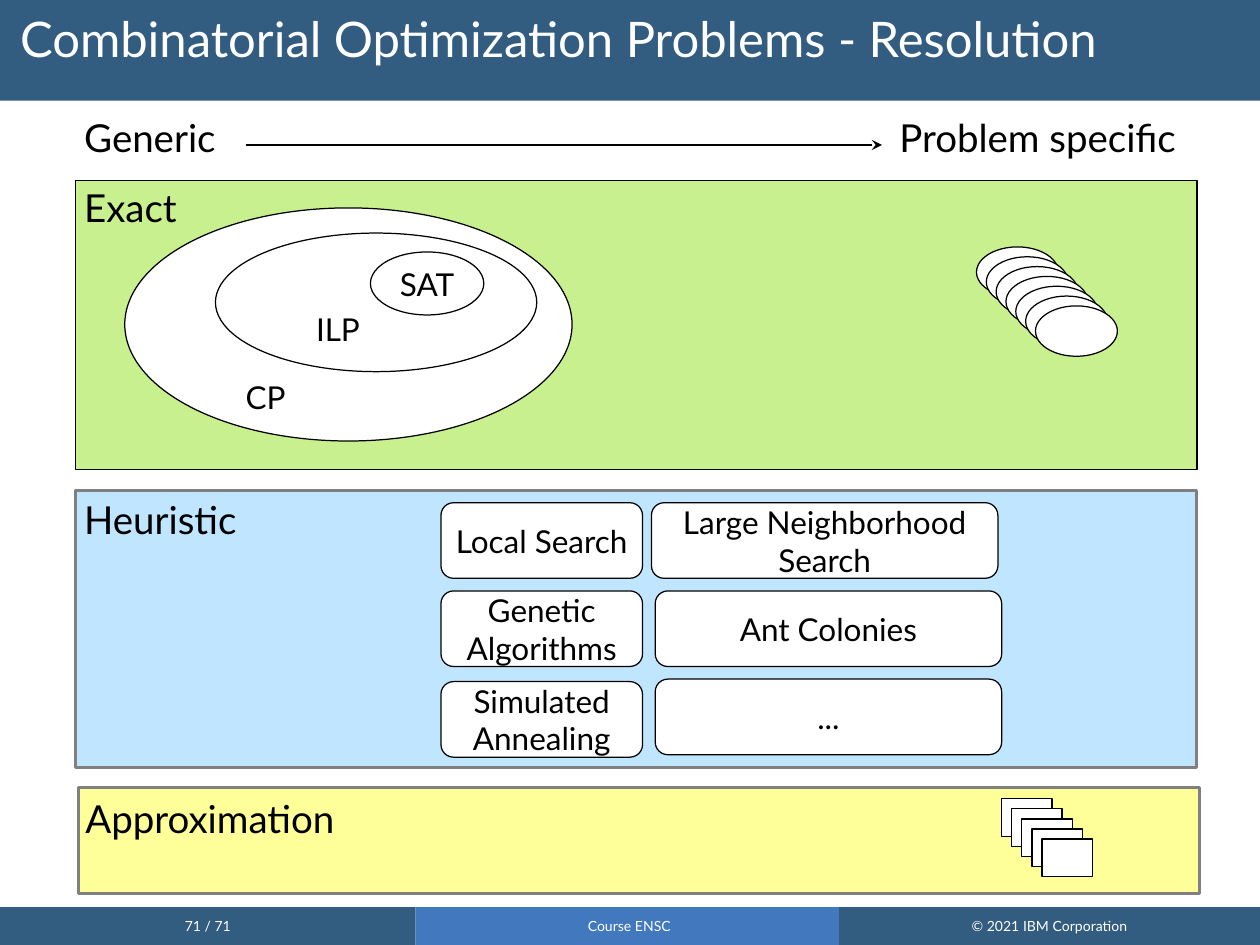
from typing import NamedTuple

from lxml.etree import SubElement
from pptx import Presentation
from pptx.dml.color import RGBColor
from pptx.enum.shapes import MSO_CONNECTOR, MSO_SHAPE
from pptx.enum.text import MSO_ANCHOR, MSO_AUTO_SIZE, PP_ALIGN
from pptx.oxml.ns import qn
from pptx.util import Inches, Pt

FONT = "Lato"
BLACK, WHITE, GREY, NAVY, BLUE = "000000", "FFFFFF", "808080", "325C80", "4178BE"
CELL = 0.1  # the slide is a grid of 100 columns by 75 rows


class Box(NamedTuple):
    column: float
    row: float
    columns: float
    rows: float


class Band(NamedTuple):
    name: str
    box: Box
    label_box: Box
    fill: str
    line: str
    width: float


class Method(NamedTuple):
    lines: tuple[str, ...]
    box: Box


class Stack(NamedTuple):
    kind: MSO_SHAPE
    first: Box
    count: int
    step: float


def grid(cells: float) -> int:
    return Inches(cells * CELL)


def color(value: str) -> RGBColor:
    return RGBColor.from_string(value)


def place(box: Box) -> list[int]:
    return [grid(cells) for cells in box]


def set_margins(frame, left: float, top: float, right: float, bottom: float) -> None:
    frame.margin_left, frame.margin_top = Inches(left), Inches(top)
    frame.margin_right, frame.margin_bottom = Inches(right), Inches(bottom)


def write(paragraph, text: str, size: float, ink: str) -> None:
    run = paragraph.add_run()
    run.text = text
    run.font.name, run.font.size = FONT, Pt(size)
    run.font.color.rgb = color(ink)


def draw(shapes, kind: MSO_SHAPE, box: Box, fill: str = WHITE,
         line: str | None = BLACK, width: float = 0.71):
    shape = shapes.add_shape(kind, *place(box))
    shape.shadow.inherit = False
    shape.fill.solid()
    shape.fill.fore_color.rgb = color(fill)
    if line is None:
        shape.line.fill.background()
    else:
        shape.line.color.rgb = color(line)
        shape.line.width = Pt(width)
    return shape


def write_centered(shape, lines: tuple[str, ...], size: float, ink: str) -> None:
    frame = shape.text_frame
    frame.word_wrap = False
    frame.vertical_anchor = MSO_ANCHOR.MIDDLE
    set_margins(frame, 0.09, 0.04, 0.09, 0.04)
    for index, text in enumerate(lines):
        paragraph = frame.add_paragraph() if index else frame.paragraphs[0]
        paragraph.alignment = PP_ALIGN.CENTER
        write(paragraph, text, size, ink)


def add_label(shapes, text: str, box: Box, size: float, tab: float | None = None) -> None:
    frame = shapes.add_textbox(*place(box)).text_frame
    frame.word_wrap = True
    set_margins(frame, 0.1, 0.05, 0.1, 0.05)
    paragraph = frame.paragraphs[0]
    if tab is not None:
        tabs = SubElement(paragraph._p.get_or_add_pPr(), qn("a:tabLst"))
        SubElement(tabs, qn("a:tab"), pos=str(grid(tab)), algn="l")
    write(paragraph, text, size, BLACK)


def add_arrow(shapes, start: float, end: float, row: float) -> None:
    arrow = shapes.add_connector(MSO_CONNECTOR.STRAIGHT,
                                 grid(start), grid(row), grid(end), grid(row))
    arrow.line.color.rgb = color(BLACK)
    arrow.line.width = Pt(0.71)
    SubElement(arrow.line._get_or_add_ln(), qn("a:tailEnd"), type="stealth")
    SubElement(arrow._element.spPr, qn("a:effectLst"))


def add_stack(shapes, stack: Stack) -> None:
    group = shapes.add_group_shape()
    column, row, columns, rows = stack.first
    for index in range(stack.count):
        shift = index * stack.step
        draw(group.shapes, stack.kind, Box(column + shift, row + shift, columns, rows))


def format_title(slide, text: str) -> None:
    title = slide.shapes.title
    title.left, title.top, title.width, title.height = place(Box(0, 0, 100, 8))
    slide.shapes._spTree.append(title._element)  # in front of the banner
    frame = title.text_frame
    frame.word_wrap = True
    frame.auto_size = MSO_AUTO_SIZE.NONE
    frame.vertical_anchor = MSO_ANCHOR.TOP
    set_margins(frame, 0.16, 0.12, 0.1, 0.05)
    paragraph = frame.paragraphs[0]
    paragraph.alignment = PP_ALIGN.LEFT
    paragraph.line_spacing = 0.9
    write(paragraph, text, 28, WHITE)


FOOTERS = [
    ("71 / 71", Box(0, 72, 33, 3), NAVY),
    ("Course ENSC", Box(33, 72, 33.9, 3), BLUE),
    ("© 2021 IBM Corporation", Box(66.6, 72, 33.4, 3), NAVY),
]
BANDS = [
    Band("Exact", Box(6, 14.3, 89, 23), Box(5.7, 14.1, 28.3, 8.3), "C8F08F", BLACK, 0.71),
    Band("Approximation", Box(6.2, 62.5, 89, 8.4), Box(5.8, 62.6, 28.3, 8.3),
         "FFFF99", GREY, 1.7),
    Band("Heuristic", Box(6, 38.9, 89, 22), Box(5.7, 38.9, 28.3, 8.3), "C0E6FF", GREY, 1.7),
]
SOLVER_SETS = [Box(9.9, 16.5, 35.5, 18.5), Box(17.1, 18.5, 25.5, 11)]
SOLVER_LABELS = [("ILP", Box(24.1, 24.1, 7.5, 4.5)), ("CP", Box(18.5, 29.5, 7.5, 4.5))]
METHODS = [
    Method(("Local Search",), Box(35, 39.9, 16, 6)),
    Method(("Genetic", "Algorithms"), Box(35, 46.9, 16, 6)),
    Method(("Large Neighborhood", "Search"), Box(51.7, 39.9, 27.5, 6)),
    Method(("Ant Colonies",), Box(52, 46.9, 27.5, 6)),
    Method(("Simulated", "Annealing"), Box(35, 54.1, 16, 6)),
    Method(("...",), Box(52, 53.9, 27.5, 6)),
]
STACKS = [
    Stack(MSO_SHAPE.OVAL, Box(77.5, 19.6, 6.5, 4), 7, 0.78),
    Stack(MSO_SHAPE.RECTANGLE, Box(79.5, 63.4, 4, 3), 5, 0.8),
]


def main() -> None:
    presentation = Presentation()
    presentation.slide_width, presentation.slide_height = grid(100), grid(75)
    slide = presentation.slides.add_slide(presentation.slide_layouts[5])
    shapes = slide.shapes

    # Banner, footer and title
    draw(shapes, MSO_SHAPE.RECTANGLE, Box(0, 0, 100, 8), NAVY, None)
    for text, box, fill in FOOTERS:
        write_centered(draw(shapes, MSO_SHAPE.RECTANGLE, box, fill, None), (text,), 8, WHITE)
    format_title(slide, "Combinatorial Optimization Problems - Resolution")

    # Families of methods
    for band in BANDS:
        draw(shapes, MSO_SHAPE.RECTANGLE, band.box, band.fill, band.line, band.width)
    for band in BANDS:
        add_label(shapes, band.name, band.label_box, 22)

    # Nested exact solvers
    for box in SOLVER_SETS:
        draw(shapes, MSO_SHAPE.OVAL, box)
    write_centered(draw(shapes, MSO_SHAPE.OVAL, Box(29.4, 20, 9, 5)), ("SAT",), 18, BLACK)
    for text, box in SOLVER_LABELS:
        add_label(shapes, text, box, 18)

    # Heuristic methods
    for method in METHODS:
        card = draw(shapes, MSO_SHAPE.ROUNDED_RECTANGLE, method.box)
        write_centered(card, method.lines, 18, BLACK)

    # Scale from generic to specific
    add_label(shapes, "Generic\tProblem specific", Box(5.7, 8.6, 94.3, 4.7), 22, tab=64.7)
    add_arrow(shapes, 19.5, 70, 11.5)

    # Problem-specific algorithms
    for stack in STACKS:
        add_stack(shapes, stack)

    presentation.save("out.pptx")


if __name__ == "__main__":
    main()
